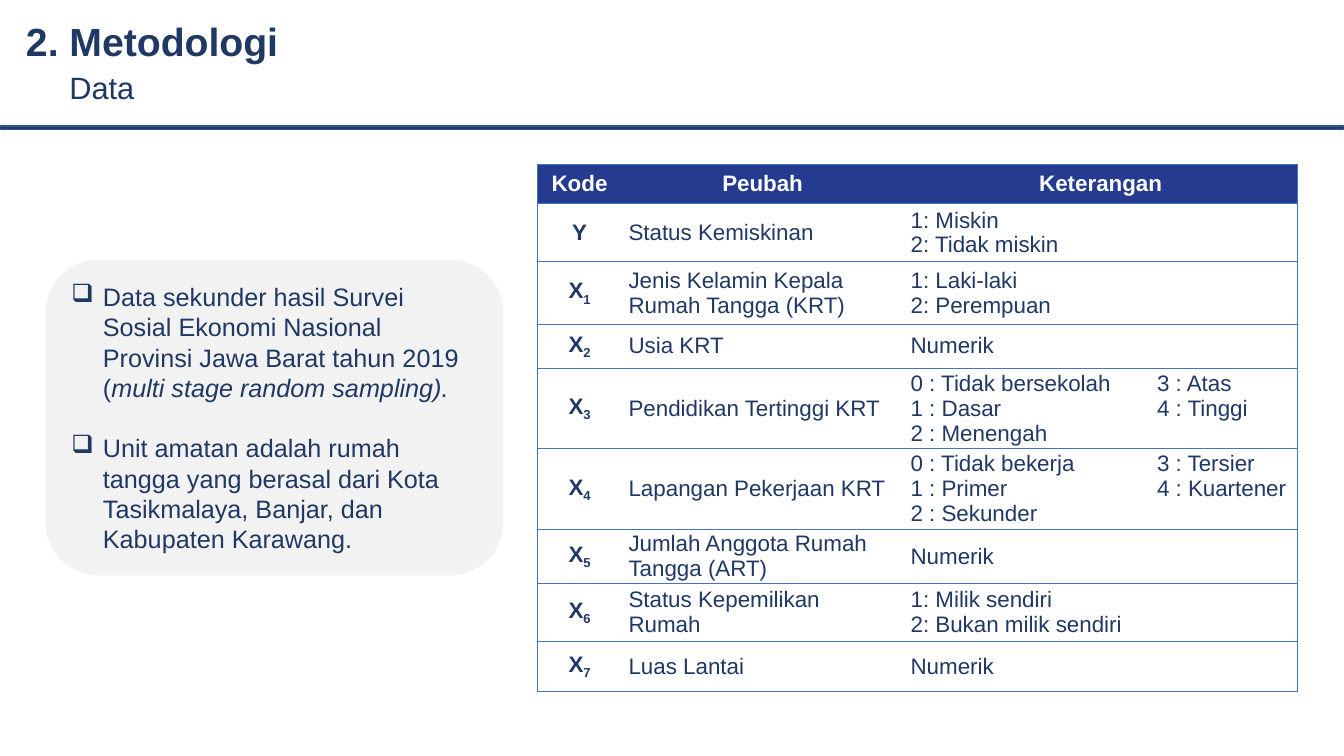
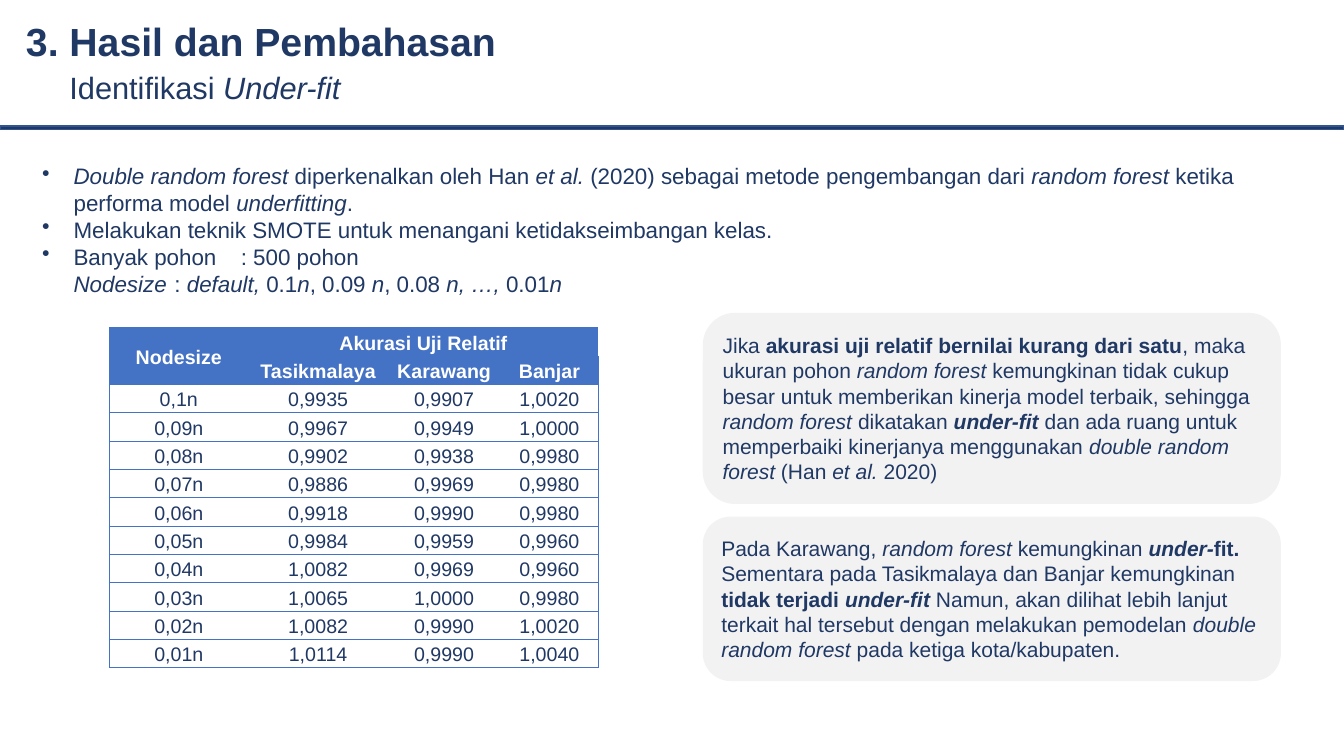
import pptx
import pptx.dml.color
import pptx.enum.shapes
import pptx.enum.text
import pptx.oxml
import pptx.oxml.ns
import pptx.util

Pt = pptx.util.Pt
ALIGN = pptx.enum.text.PP_ALIGN
ANCHOR = pptx.enum.text.MSO_ANCHOR
SHAPE = pptx.enum.shapes.MSO_SHAPE

FONT = "Arial"
COLORS = {
    "navy": "203864",
    "rule_edge": "325491",
    "header": "243B90",
    "blue": "4472C4",
    "panel": "F2F2F2",
    "white": "FFFFFF",
}
PAGE_WIDTH, PAGE_HEIGHT = 960, 540
HANGING = 22.5
MARKS = {"*": "bold", "_": "italic", "~": "subscript"}

VARIABLES = [
    ("Y", "Status Kemiskinan", ["1: Miskin", "2: Tidak miskin"]),
    ("X~1~", "Jenis Kelamin Kepala Rumah Tangga (KRT)", ["1: Laki-laki", "2: Perempuan"]),
    ("X~2~", "Usia KRT", ["Numerik"]),
    ("X~3~", "Pendidikan Tertinggi KRT",
     ["0 : Tidak bersekolah\t3 : Atas", "1 : Dasar\t4 : Tinggi", "2 : Menengah"]),
    ("X~4~", "Lapangan Pekerjaan KRT",
     ["0 : Tidak bekerja\t3 : Tersier", "1 : Primer\t4 : Kuartener", "2 : Sekunder"]),
    ("X~5~", "Jumlah Anggota Rumah Tangga (ART)", ["Numerik"]),
    ("X~6~", "Status Kepemilikan Rumah", ["1: Milik sendiri", "2: Bukan milik sendiri"]),
    ("X~7~", "Luas Lantai", ["Numerik"]),
]
ACCURACY = [
    ("0,1n", "0,9935", "0,9907", "1,0020"),
    ("0,09n", "0,9967", "0,9949", "1,0000"),
    ("0,08n", "0,9902", "0,9938", "0,9980"),
    ("0,07n", "0,9886", "0,9969", "0,9980"),
    ("0,06n", "0,9918", "0,9990", "0,9980"),
    ("0,05n", "0,9984", "0,9959", "0,9960"),
    ("0,04n", "1,0082", "0,9969", "0,9960"),
    ("0,03n", "1,0065", "1,0000", "0,9980"),
    ("0,02n", "1,0082", "0,9990", "1,0020"),
    ("0,01n", "1,0114", "0,9990", "1,0040"),
]


def rgb(name):
    return pptx.dml.color.RGBColor.from_string(COLORS[name])


def add_xml(parent, xml, position=None):
    """Add an element, written without its namespace, to a drawing element."""
    tag_end = min(i for i in (xml.find(" "), xml.find("/"), xml.find(">")) if i > 0)
    xml = f"<a:{xml[1:tag_end]} {pptx.oxml.ns.nsdecls('a')}{xml[tag_end:]}"
    element = pptx.oxml.parse_xml(xml)
    parent.insert(len(parent) if position is None else position, element)


def add_spans(para, text):
    """Split *bold*, _italic_ and ~subscript~ text into runs."""
    active, piece = set(), ""
    for char in text + "\0":
        if char not in MARKS and char != "\0":
            piece += char
            continue
        if piece:
            span = para.add_run()
            span.text = piece
            if "bold" in active:
                span.font.bold = True
            if "italic" in active:
                span.font.italic = True
            if "subscript" in active:
                span.font._element.set("baseline", "-25000")
            piece = ""
        active ^= {MARKS.get(char)}


def write_para(para, text, size, color="navy", bold=False, align=ALIGN.LEFT,
               indent=0, bullet=None, tab=None, spacing=None, after=None):
    properties = para._p.get_or_add_pPr()
    if indent:
        properties.set("marL", str(Pt(indent)))
        properties.set("indent", str(Pt(-indent if bullet else 0)))
    if bullet:
        add_xml(properties, f'<buChar char="{bullet}"/>')
    if tab:
        add_xml(properties, "<tabLst/>")
        add_xml(properties[-1], f'<tab pos="{Pt(tab)}" algn="l"/>')
    para.alignment = align
    if spacing:
        para.line_spacing = spacing
    if after:
        para.space_after = Pt(after)
    para.font.name = FONT
    para.font.size = Pt(size)
    para.font.bold = bold
    para.font.color.rgb = rgb(color)
    add_spans(para, text)


def write_lines(frame, lines, size, **style):
    for number, line in enumerate(lines):
        para = frame.add_paragraph() if number else frame.paragraphs[0]
        write_para(para, line, size, **style)


def add_text(page, left, top, width, height, lines, size, anchor=ANCHOR.TOP, **style):
    box = page.shapes.add_textbox(Pt(left), Pt(top), Pt(width), Pt(height))
    frame = box.text_frame
    frame.word_wrap = True
    frame.vertical_anchor = anchor
    write_lines(frame, lines, size, **style)
    return frame


def add_block(page, kind, left, top, width, height, fill, edge):
    block = page.shapes.add_shape(kind, Pt(left), Pt(top), Pt(width), Pt(height))
    block.shadow.inherit = False
    block.fill.solid()
    block.fill.fore_color.rgb = rgb(fill)
    block.line.color.rgb = rgb(edge)
    block.line.width = Pt(1)
    return block


def add_panel(page, left, top, width, height, lines, size, **style):
    panel = add_block(page, SHAPE.ROUNDED_RECTANGLE, left, top, width, height,
                      "panel", "panel")
    panel.text_frame.word_wrap = True
    panel.text_frame.vertical_anchor = ANCHOR.MIDDLE
    write_lines(panel.text_frame, lines, size, **style)


def add_page(deck, title, subtitle):
    """Add a page with the shared heading and rule."""
    page = deck.slides.add_slide(deck.slide_layouts[6])
    add_text(page, 11.5, 11.5, 900, 40, [title], 28, ANCHOR.MIDDLE, bold=True, spacing=0.9)
    add_text(page, 42.5, 45.5, 860, 34, [subtitle], 22)
    add_block(page, SHAPE.RECTANGLE, 0, 90, PAGE_WIDTH, 2.5, "navy", "rule_edge")
    return page


def add_grid(page, left, top, widths, heights):
    frame = page.shapes.add_table(len(heights), len(widths), Pt(left), Pt(top),
                                  Pt(sum(widths)), Pt(sum(heights)))
    grid = frame.table
    grid.first_row = grid.horz_banding = False
    for column, width in zip(grid.columns, widths):
        column.width = Pt(width)
    for row, height in zip(grid.rows, heights):
        row.height = Pt(height)
    for row in grid.rows:
        for number, cell in enumerate(row.cells):
            style_cell(cell, number == 0, number == len(widths) - 1)
    return grid


def style_cell(cell, first, last):
    """Draw horizontal lines, and vertical ones only at the outer edges."""
    cell.margin_left = cell.margin_right = Pt(5)
    cell.margin_top = cell.margin_bottom = 0
    cell.vertical_anchor = ANCHOR.MIDDLE
    cell.fill.background()
    properties = cell._tc.get_or_add_tcPr()
    sides = {"L": first, "R": last, "T": True, "B": True}
    for position, (side, shown) in enumerate(sides.items()):
        paint = (f'<a:solidFill><a:srgbClr val="{COLORS["blue"]}"/></a:solidFill>'
                 if shown else "<a:noFill/>")
        add_xml(properties, f'<ln{side} w="{Pt(0.5)}">{paint}</a:ln{side}>', position)


def write_header(cell, text, size, fill, **style):
    cell.fill.solid()
    cell.fill.fore_color.rgb = rgb(fill)
    write_lines(cell.text_frame, [text], size, color="white", bold=True,
                align=ALIGN.CENTER, **style)


def add_variable_table(page):
    heights = [28.5, 41.5, 44.5, 31.5, 57.5, 57.5, 38.5, 41.5, 35.5]
    grid = add_grid(page, 384, 117, [60, 201.5, 281.5], heights)
    for column, heading in enumerate(["Kode", "Peubah", "Keterangan"]):
        write_header(grid.cell(0, column), heading, 16, "header")
    for row, (code, name, notes) in enumerate(VARIABLES, 1):
        code_cell, name_cell, note_cell = grid.rows[row].cells
        write_lines(code_cell.text_frame, [code], 16, bold=True, align=ALIGN.CENTER)
        write_lines(name_cell.text_frame, [name], 16)
        write_lines(note_cell.text_frame, notes, 16, tab=176)


def add_accuracy_table(page):
    grid = add_grid(page, 78, 234, [99.5, 99.5, 80.5, 70], [20.25] * (len(ACCURACY) + 2))
    grid.cell(0, 0).merge(grid.cell(1, 0))
    grid.cell(0, 1).merge(grid.cell(0, 3))
    headings = {(0, 0): "Nodesize", (0, 1): "Akurasi Uji Relatif",
                (1, 1): "Tasikmalaya", (1, 2): "Karawang", (1, 3): "Banjar"}
    for place, heading in headings.items():
        write_header(grid.cell(*place), heading, 14, "blue", spacing=1.15)
    for row, values in enumerate(ACCURACY, 2):
        for column, value in enumerate(values):
            write_lines(grid.cell(row, column).text_frame, [value], 14,
                        align=ALIGN.CENTER, spacing=1.15)


def add_data_page(deck):
    page = add_page(deck, "2. Metodologi", "Data")
    add_variable_table(page)
    add_panel(page, 33, 186, 326, 224.5, [
        "Data sekunder hasil Survei Sosial Ekonomi Nasional Provinsi Jawa Barat "
        "tahun 2019 (_multi stage random sampling)._",
        "Unit amatan adalah rumah tangga yang berasal dari Kota Tasikmalaya, "
        "Banjar, dan Kabupaten Karawang.",
    ], 18, indent=HANGING, bullet="❑", after=21.5)


def add_underfit_page(deck):
    page = add_page(deck, "3. Hasil dan Pembahasan", "Identifikasi _Under-fit_")
    frame = add_text(page, 23, 112.5, 870.5, 104.5, [
        "_Double random forest_ diperkenalkan oleh Han _et al._ (2020) sebagai metode "
        "pengembangan dari _random forest_ ketika performa model _underfitting_.",
        "Melakukan teknik SMOTE untuk menangani ketidakseimbangan kelas.",
        "Banyak pohon\t: 500 pohon",
    ], 16, indent=HANGING, bullet="•", tab=142)
    write_para(frame.add_paragraph(),
               "_Nodesize_\t: _default,_ 0.1_n_, 0.09 _n_, 0.08 _n, …,_ 0.01_n_",
               16, indent=HANGING, tab=142)
    add_accuracy_table(page)
    panels = [
        (224, 135.5,
         "Jika *akurasi uji relatif bernilai kurang dari satu*, maka ukuran pohon "
         "_random forest_ kemungkinan tidak cukup besar untuk memberikan kinerja model "
         "terbaik, sehingga _random forest_ dikatakan *_under-fit_* dan ada ruang untuk "
         "memperbaiki kinerjanya menggunakan _double random forest_ (Han _et al._ 2020)"),
        (369.5, 116.5,
         "Pada Karawang, _random forest_ kemungkinan *_under-_fit.* Sementara pada "
         "Tasikmalaya dan Banjar kemungkinan *tidak terjadi _under-fit_* Namun, akan "
         "dilihat lebih lanjut terkait hal tersebut dengan melakukan pemodelan "
         "_double random forest_ pada ketiga kota/kabupaten."),
    ]
    for top, height, text in panels:
        add_panel(page, 502.5, top, 412, height, [text], 15)


def main():
    deck = pptx.Presentation()
    deck.slide_width, deck.slide_height = Pt(PAGE_WIDTH), Pt(PAGE_HEIGHT)
    add_data_page(deck)
    add_underfit_page(deck)
    deck.save("out.pptx")


if __name__ == "__main__":
    main()
